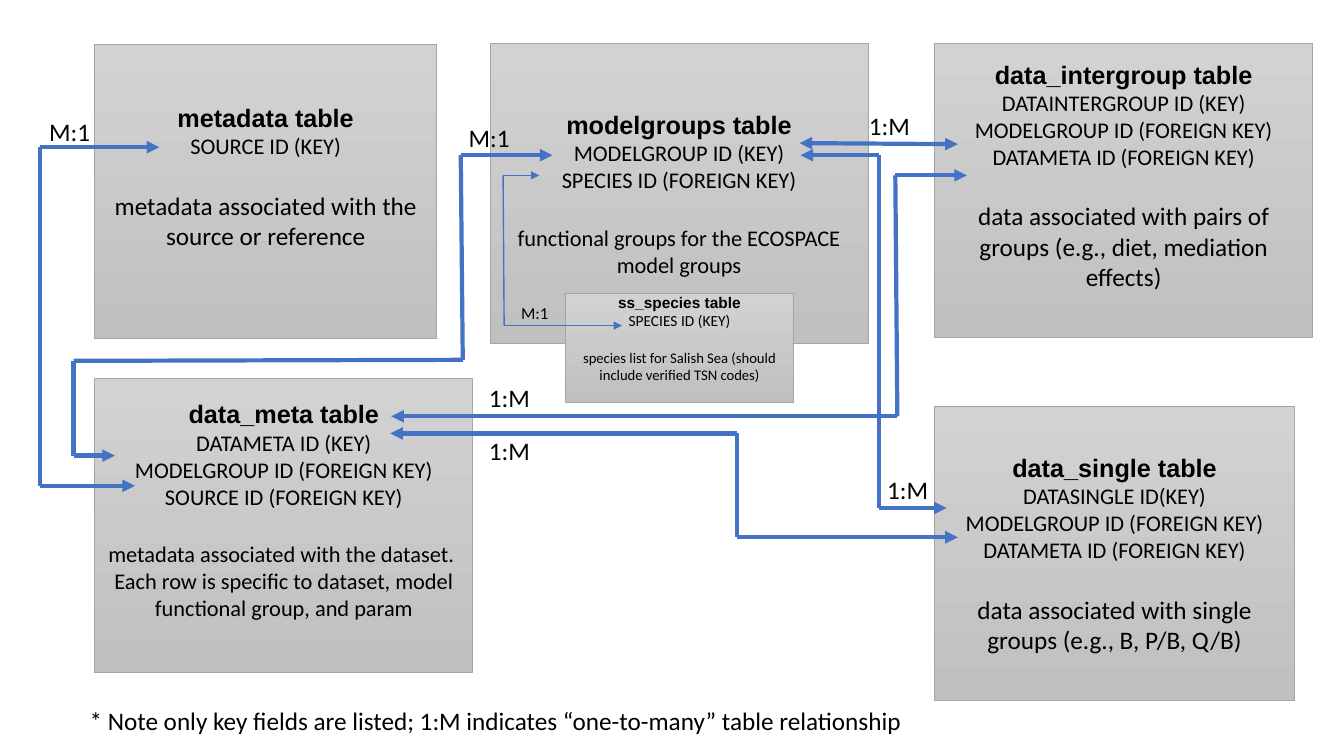
from dataclasses import dataclass

from lxml.etree import SubElement
from pptx import Presentation
from pptx.dml.color import RGBColor
from pptx.enum.shapes import MSO_CONNECTOR, MSO_SHAPE
from pptx.enum.text import MSO_ANCHOR, MSO_AUTO_SIZE, PP_ALIGN
from pptx.oxml.ns import qn
from pptx.util import Inches, Pt


@dataclass(frozen=True)
class Theme:
    text: RGBColor = RGBColor(0x00, 0x00, 0x00)
    box_top: RGBColor = RGBColor(0xD2, 0xD2, 0xD2)
    box_bottom: RGBColor = RGBColor(0xC0, 0xC0, 0xC0)
    border: RGBColor = RGBColor(0xA5, 0xA5, 0xA5)
    link: RGBColor = RGBColor(0x44, 0x72, 0xC4)
    title_font: str = "Arial"
    body_font: str = "Calibri"
    large: float = 18
    medium: float = 16
    label_small: float = 12
    small: float = 11
    tiny: float = 10.5
    thick: float = 3
    thin: float = 1


THEME = Theme()
LINE_FACTOR = 1.22  # line height of the body font

# Table boxes: place, title, key fields, description, its size, free lines above and below
TABLES = [
    ((0.94, 0.44, 3.39, 2.92), "metadata table", ["SOURCE ID (KEY)"],
     ["metadata associated with the source or reference"], THEME.large, (0, 1)),
    ((0.94, 3.75, 3.75, 2.92), "data_meta table",
     ["DATAMETA ID (KEY)", "MODELGROUP ID (FOREIGN KEY)", "SOURCE ID (FOREIGN KEY)"],
     ["metadata associated with the dataset. ",
      "Each row is specific to dataset, model functional group, and param"],
     THEME.medium, (0, 1)),
    ((9.27, 4.03, 3.57, 2.92), "data_single table",
     ["DATASINGLE ID(KEY)", "MODELGROUP ID (FOREIGN KEY) DATAMETA ID (FOREIGN KEY)"],
     ["data associated with single groups (e.g., B, P/B, Q/B)"], THEME.large, (0, 0)),
    ((9.27, 0.43, 3.75, 2.92), "data_intergroup table",
     ["DATAINTERGROUP ID (KEY)", "MODELGROUP ID (FOREIGN KEY)", "DATAMETA ID (FOREIGN KEY)"],
     ["data associated with pairs of groups (e.g., diet, mediation effects)"],
     THEME.large, (0, 1)),
    ((4.86, 0.43, 3.75, 2.98), "modelgroups table",
     ["MODELGROUP ID (KEY)", "SPECIES ID (FOREIGN KEY)"],
     ["functional groups for the ECOSPACE model groups"], THEME.medium, (1, 1)),
]
SPECIES_TABLE = ((5.61, 2.91, 2.26, 1.08), "ss_species table", ["SPECIES ID (KEY)"],
                 ["species list for Salish Sea (should include verified TSN codes)"],
                 THEME.tiny, (0, 1))

# Relationships: corner points, with an arrowhead at both ends
ROUTES = [
    [(1.58, 1.46), (0.4, 1.46), (0.4, 4.82), (1.34, 4.82)],
    [(5.48, 1.54), (4.57, 1.54), (4.59, 3.57), (0.73, 3.58), (0.73, 4.52), (1.14, 4.52)],
    [(3.87, 4.3), (7.31, 4.3), (7.31, 5.33), (9.5, 5.33)],
    [(3.88, 4.13), (8.9, 4.13), (8.88, 1.74), (9.59, 1.74)],
    [(7.94, 1.54), (8.72, 1.54), (8.72, 5.04), (9.39, 5.04)],
    [(7.93, 1.42), (9.5, 1.43)],
]
SPECIES_ROUTE = [(6.17, 3.23), (5, 3.23), (4.99, 1.74), (5.35, 1.74)]

LABELS = [("M:1", 0.39, 1.11), ("M:1", 4.55, 1.16), ("1:M", 4.75, 4.27),
          ("1:M", 4.75, 3.74), ("1:M", 8.7, 4.66), ("1:M", 8.52, 1.05)]
NOTE = "* Note only key fields are listed; 1:M indicates “one-to-many” table relationship"


def apply(target, values):
    for name, value in values.items():
        setattr(target, name, value)


def write(para, text, size, font=THEME.body_font, bold=False):
    span = para.add_run()
    span.text = text
    apply(span.font, {"size": Pt(size), "name": font, "bold": bold})
    span.font.color.rgb = THEME.text


def add_table_box(page, place, title, keys, description, description_size, free_lines,
                  title_size=THEME.large, key_size=THEME.medium):
    box = page.shapes.add_shape(MSO_SHAPE.RECTANGLE, *map(Inches, place))
    box.shadow.inherit = False
    box.fill.gradient()
    box.fill.gradient_angle = 270
    for stop, color in zip(box.fill.gradient_stops, (THEME.box_top, THEME.box_bottom)):
        stop.color.rgb = color
    box.line.color.rgb = THEME.border
    box.line.width = Pt(0.5)

    # Free lines become insets, so the text keeps its place around the middle
    gap = Pt(title_size * LINE_FACTOR)
    above, below = free_lines
    frame = box.text_frame
    apply(frame, {"word_wrap": True, "vertical_anchor": MSO_ANCHOR.MIDDLE,
                  "margin_top": gap * above, "margin_bottom": gap * below})
    lines = [(title, title_size, THEME.title_font, True)]
    lines += [(key, key_size) for key in keys]
    lines += [(text, description_size) for text in description]
    for index, line in enumerate(lines):
        para = frame.add_paragraph() if index else frame.paragraphs[0]
        para.alignment = PP_ALIGN.CENTER
        if index == len(keys) + 1:
            para.space_before = gap
        write(para, *line)


def add_label(page, text, left, top, width=0.83, height=0.4, size=THEME.large):
    box = page.shapes.add_textbox(*map(Inches, (left, top, width, height)))
    apply(box.text_frame, {"word_wrap": True, "auto_size": MSO_AUTO_SIZE.SHAPE_TO_FIT_TEXT})
    write(box.text_frame.paragraphs[0], text, size)


def add_route(page, points, width=THEME.thick):
    last = len(points) - 2
    for index, (start, end) in enumerate(zip(points, points[1:])):
        link = page.shapes.add_connector(MSO_CONNECTOR.STRAIGHT, *map(Inches, start + end))
        link.line.color.rgb = THEME.link
        link.line.width = Pt(width)
        outline = link.line._get_or_add_ln()
        for tag, wanted in (("a:headEnd", index == 0), ("a:tailEnd", index == last)):
            if wanted:
                SubElement(outline, qn(tag), type="triangle")
        SubElement(link._element.spPr, qn("a:effectLst"))


def main():
    deck = Presentation()
    apply(deck, {"slide_width": Inches(13.33), "slide_height": Inches(7.5)})
    page = deck.slides.add_slide(deck.slide_layouts[6])

    # Main tables and their relationships
    for table in TABLES:
        add_table_box(page, *table)
    for points in ROUTES:
        add_route(page, points)
    for label in LABELS:
        add_label(page, *label)

    # Species table inside the model groups
    add_table_box(page, *SPECIES_TABLE, title_size=THEME.small, key_size=THEME.small)
    add_route(page, SPECIES_ROUTE, THEME.thin)
    add_label(page, "M:1", 5.07, 2.95, 0.6, 0.3, THEME.label_small)

    # Footnote
    add_label(page, NOTE, 0.79, 6.95, 9.95)
    deck.save("out.pptx")


if __name__ == "__main__":
    main()
